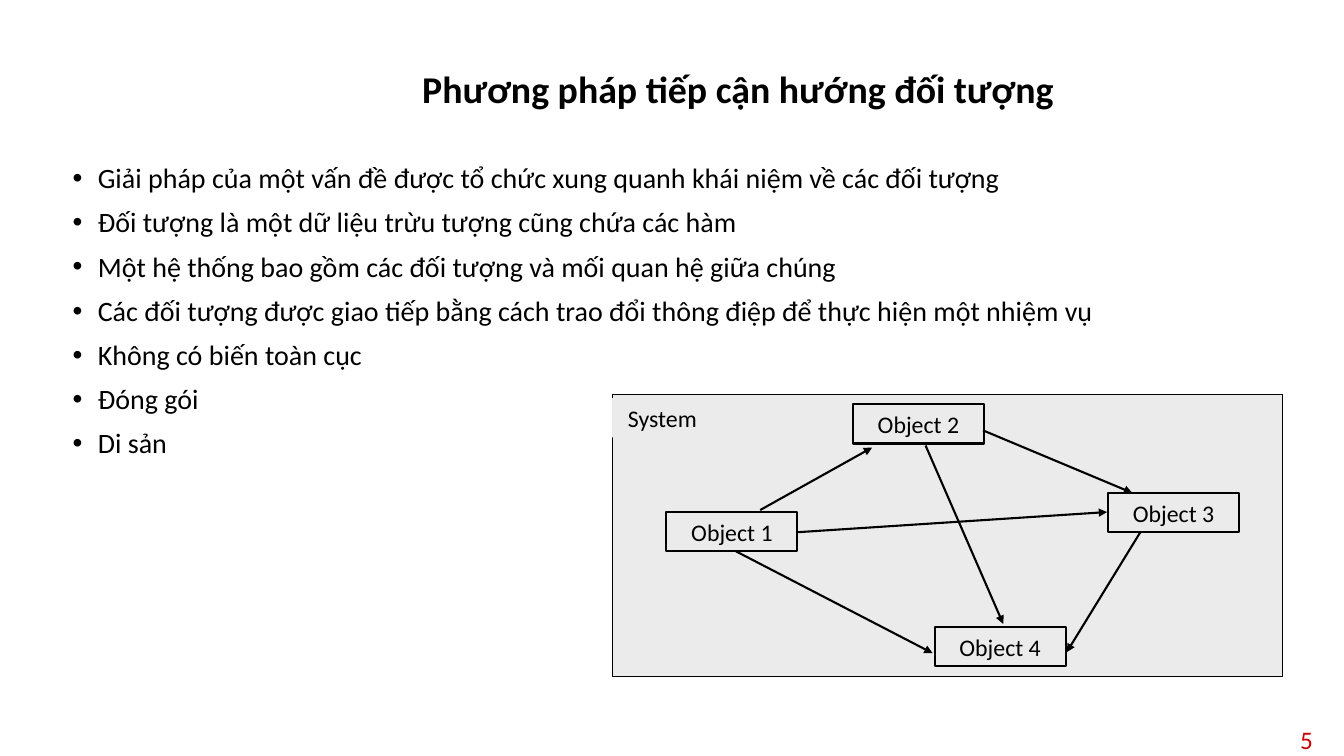
from lxml import etree
from pptx import Presentation
from pptx.dml.color import RGBColor
from pptx.enum.shapes import MSO_CONNECTOR, MSO_SHAPE
from pptx.enum.text import MSO_ANCHOR, MSO_AUTO_SIZE, PP_ALIGN
from pptx.oxml.ns import qn
from pptx.util import Inches, Pt

RECT = MSO_SHAPE.RECTANGLE
STRAIGHT = MSO_CONNECTOR.STRAIGHT
TOP, MIDDLE = MSO_ANCHOR.TOP, MSO_ANCHOR.MIDDLE
LEFT, CENTER, RIGHT = PP_ALIGN.LEFT, PP_ALIGN.CENTER, PP_ALIGN.RIGHT
NO_FIT = MSO_AUTO_SIZE.NONE

FONT, BLACK, RED, GRAY = "Calibri", "000000", "CC0000", "EBEBEB"
BOX_W, BOX_H = 1.3, 0.39

TITLE = "Phương pháp tiếp cận hướng đối tượng"
POINTS = [
    "Giải pháp của một vấn đề được tổ chức xung quanh khái niệm về các đối tượng",
    "Đối tượng là một dữ liệu trừu tượng cũng chứa các hàm",
    "Một hệ thống bao gồm các đối tượng và mối quan hệ giữa chúng",
    "Các đối tượng được giao tiếp bằng cách trao đổi thông điệp để thực hiện một nhiệm vụ",
    "Không có biến toàn cục",
    "Đóng gói",
    "Di sản",
]
OBJECTS = {
    "Object 2": (8.46, 4.01),
    "Object 4": (9.27, 6.22),
    "Object 1": (6.61, 5.08),
    "Object 3": (10.99, 4.89),
}
ARROWS = [
    ((9.75, 4.27), (11.23, 4.89)),
    ((7.91, 5.28), (10.98, 5.08)),
    ((7.3, 5.47), (9.25, 6.48)),
    ((7.54, 5.06), (8.65, 4.44)),
    ((9.18, 4.42), (9.95, 6.19)),
    ((11.31, 5.28), (10.58, 6.47)),
]


def color(code):
    """Turn a hex string into a colour."""
    return RGBColor.from_string(code)


def place(shape, left, top, width, height):
    """Move and size a shape, in inches."""
    spot = dict(left=left, top=top, width=width, height=height)
    for name, value in spot.items():
        setattr(shape, name, Inches(value))


def write(shape, lines, size, align=CENTER, anchor=MIDDLE, tint=BLACK,
          bold=False, inset=None, **form):
    """Fill a shape with paragraphs in one style."""
    frame = shape.text_frame
    frame.text = "\n".join(lines)
    frame.word_wrap = True
    frame.auto_size = NO_FIT
    frame.vertical_anchor = anchor
    if inset is not None:
        for side in ("left", "top", "right", "bottom"):
            setattr(frame, f"margin_{side}", Inches(inset))
    for para in frame.paragraphs:
        for name, value in dict(alignment=align, **form).items():
            setattr(para, name, value)
        for run in para.runs:
            look = dict(name=FONT, size=Pt(size), bold=bold)
            for name, value in look.items():
                setattr(run.font, name, value)
            run.font.color.rgb = color(tint)


def add_box(shapes, spot, weight, label=None):
    """Add a gray box with an optional border and label."""
    box = shapes.add_shape(RECT, *map(Inches, spot))
    box.shadow.inherit = False
    box.fill.solid()
    box.fill.fore_color.rgb = color(GRAY)
    if weight:
        box.line.color.rgb = color(BLACK)
        box.line.width = Pt(weight)
    else:
        box.line.fill.background()
    if label:
        write(box, [label], 17, inset=0)


def add_arrow(shapes, start, end):
    """Add a straight arrow between two points."""
    arrow = shapes.add_connector(STRAIGHT, *map(Inches, start + end))
    arrow.line.color.rgb = color(BLACK)
    arrow.line.width = Pt(1.5)
    etree.SubElement(arrow.line._get_or_add_ln(), qn("a:tailEnd"),
                     type="triangle")
    etree.SubElement(arrow._element.spPr, qn("a:effectLst"))


def add_list(body):
    """Write the bullet points with a hanging indent."""
    place(body, 0.62, 1.58, 11.8, 5.17)
    write(body, POINTS, 20, LEFT, TOP, line_spacing=0.9,
          space_before=Pt(10))
    for para in body.text_frame.paragraphs:
        props = para._p.get_or_add_pPr()
        props.set("marL", str(Inches(0.25)))
        props.set("indent", str(Inches(-0.25)))


def add_system(slide):
    """Draw the system of objects and their messages."""
    shapes = slide.shapes.add_group_shape().shapes
    add_box(shapes, (6.07, 3.91, 6.65, 2.8), 0.5)
    for label, spot in OBJECTS.items():
        add_box(shapes, spot + (BOX_W, BOX_H), 1.5, label)
    for start, end in ARROWS:
        add_arrow(shapes, start, end)
    add_box(shapes, (6.07, 3.95, 1, BOX_H), 0, "System")


def main():
    """Build and save the slide."""
    deck = Presentation()
    deck.slide_width, deck.slide_height = Inches(13.33), Inches(7.5)
    slide = deck.slides.add_slide(deck.slide_layouts[1])
    title, body = slide.placeholders
    add_list(body)
    number = slide.shapes.add_textbox(*map(Inches, (12.79, 7.16, 0.33, 0.36)))
    write(number, ["5"], 18, RIGHT, tint=RED)
    place(title, 2.23, 0.4, 10.18, 1.02)
    write(title, [TITLE], 27, bold=True, line_spacing=0.9)
    add_system(slide)
    deck.save("out.pptx")


main()
